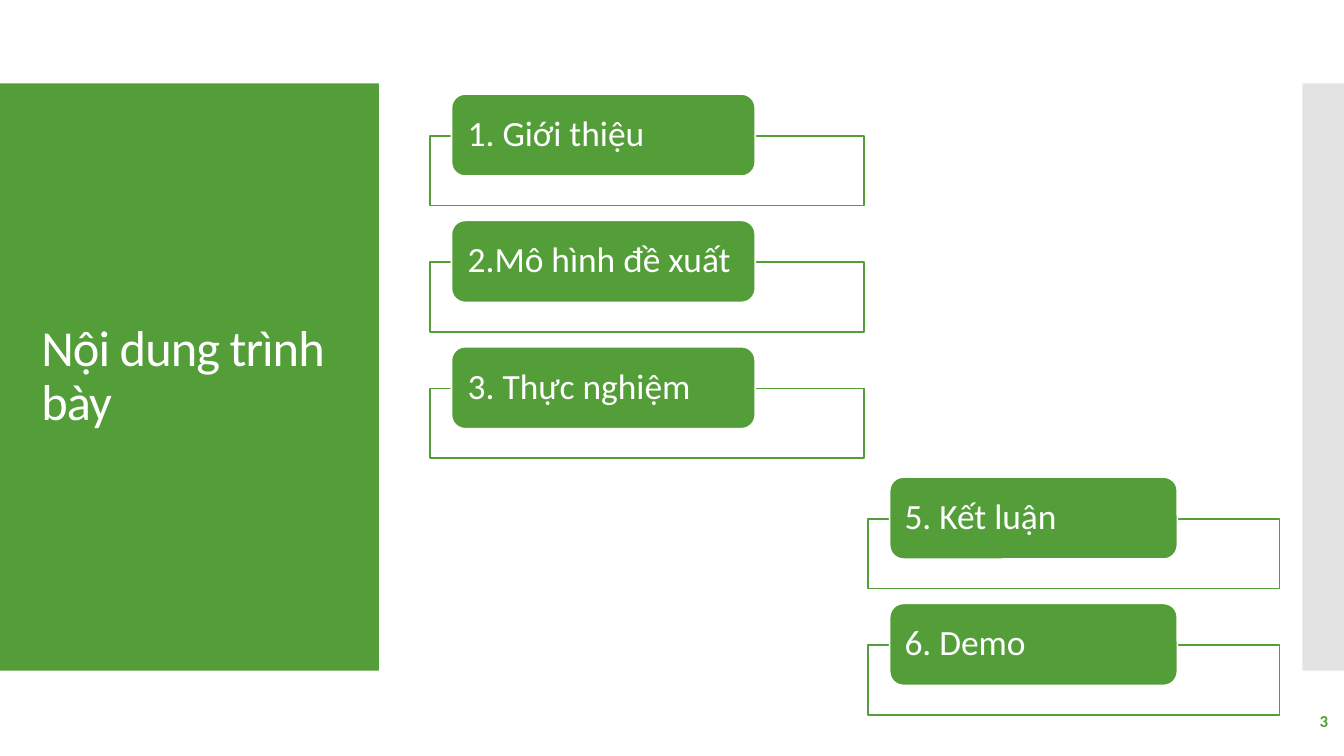
from lxml.etree import SubElement
from pptx import Presentation
from pptx.dml.color import RGBColor as Rgb
from pptx.enum.shapes import MSO_SHAPE as Form
from pptx.enum.text import MSO_ANCHOR as Anchor, PP_ALIGN as Align
from pptx.oxml.ns import qn
from pptx.util import Inches, Pt

HUES = {"green": "549E39", "gray": "C8C8C8", "white": "FFFFFF"}
FONT = "Calibri"
WIDE = 10
HIGH = WIDE * 9 / 16
PITCH = 0.94


class Deck:
    """Holds the style and the slide being drawn."""

    def __init__(self, wide, high):
        self.file = Presentation()
        self.file.slide_width = Inches(wide)
        self.file.slide_height = Inches(high)
        self.slide = self.file.slides.add_slide(self.file.slide_layouts[6])
        self.items = self.slide.shapes

    def hue(self, name):
        return Rgb.from_string(HUES[name])

    def box(self, spot, fill, line=None, form=Form.RECTANGLE, alpha=None):
        """Draw a filled shape; alpha is its opacity in percent."""
        shape = self.items.add_shape(form, *map(Inches, spot))
        shape.shadow.inherit = False
        shape.fill.solid()
        shape.fill.fore_color.rgb = self.hue(fill)
        if alpha is not None:
            tint = shape.fill._xPr.find(qn("a:solidFill"))[0]
            SubElement(tint, qn("a:alpha"), val=str(alpha * 1000))
        if line:
            shape.line.color.rgb = self.hue(line)
            shape.line.width = Pt(0.85)
        else:
            shape.line.fill.background()

    def text(self, spot, words, size, color="white", bold=False, pad=0.1,
             rise=0.05, track=None, **form):
        """Draw a text box; form holds paragraph settings, track is in points."""
        frame = self.items.add_textbox(*map(Inches, spot)).text_frame
        look = {"word_wrap": True, "vertical_anchor": Anchor.MIDDLE,
                "margin_left": Inches(pad), "margin_right": Inches(pad),
                "margin_top": Inches(rise), "margin_bottom": Inches(rise)}
        para = frame.paragraphs[0]
        run = para.add_run()
        run.text = words
        face = {"name": FONT, "size": Pt(size), "bold": bold}
        for part, values in ((frame, look), (para, form), (run.font, face)):
            for key, value in values.items():
                setattr(part, key, value)
        run.font.color.rgb = self.hue(color)
        if track is not None:
            run.font._element.set("spc", str(round(track * 100)))

    def list(self, left, top, wide, pill, pad, topics):
        """Draw a group of topics, each a pill over an outlined frame."""
        self.items = self.slide.shapes.add_group_shape().shapes
        for row, topic in enumerate(topics):
            y = top + row * PITCH
            self.box((left, y + 0.31, wide, 0.52), "white", "green", alpha=90)
            self.box((left + 0.16, y, pill, 0.61), "green", "white",
                     Form.ROUNDED_RECTANGLE)
            self.text((left + 0.19, y + 0.03, pill - 0.06, 0.55), topic, 19,
                      pad=pad, rise=0, line_spacing=0.9)
        self.items = self.slide.shapes


def main():
    deck = Deck(WIDE, HIGH)
    deck.box((0, 0.62, 2.82, 4.37), "green")
    deck.box((9.69, 0.62, 0.32, 4.37), "gray", alpha=50)
    deck.text((0.21, 0.92, 2.42, 3.77), "Nội dung trình bày", 27,
              track=-0.5, line_spacing=0.9)
    deck.list(3.2, 0.7, 3.23, 2.26, 0.09,
              ["1. Giới thiệu", "2.Mô hình đề xuất", "3. Thực nghiệm"])
    deck.text((8.72, 5.21, 1.26, 0.3), "3", 9, "green", bold=True,
              alignment=Align.RIGHT)
    deck.list(6.46, 3.55, 3.06, 2.14, 0.08, ["5. Kết luận", "6. Demo"])
    deck.file.save("out.pptx")


if __name__ == "__main__":
    main()
